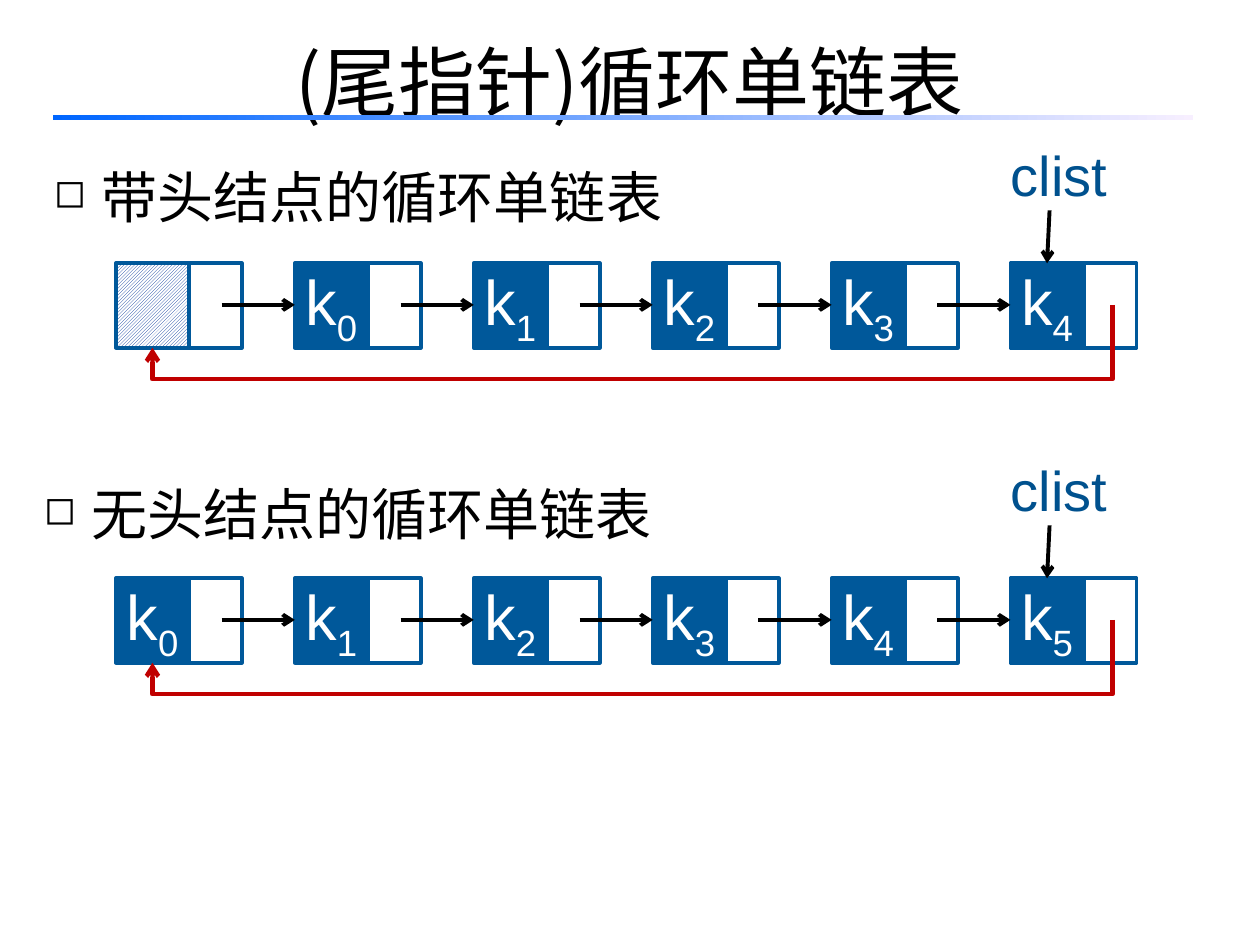
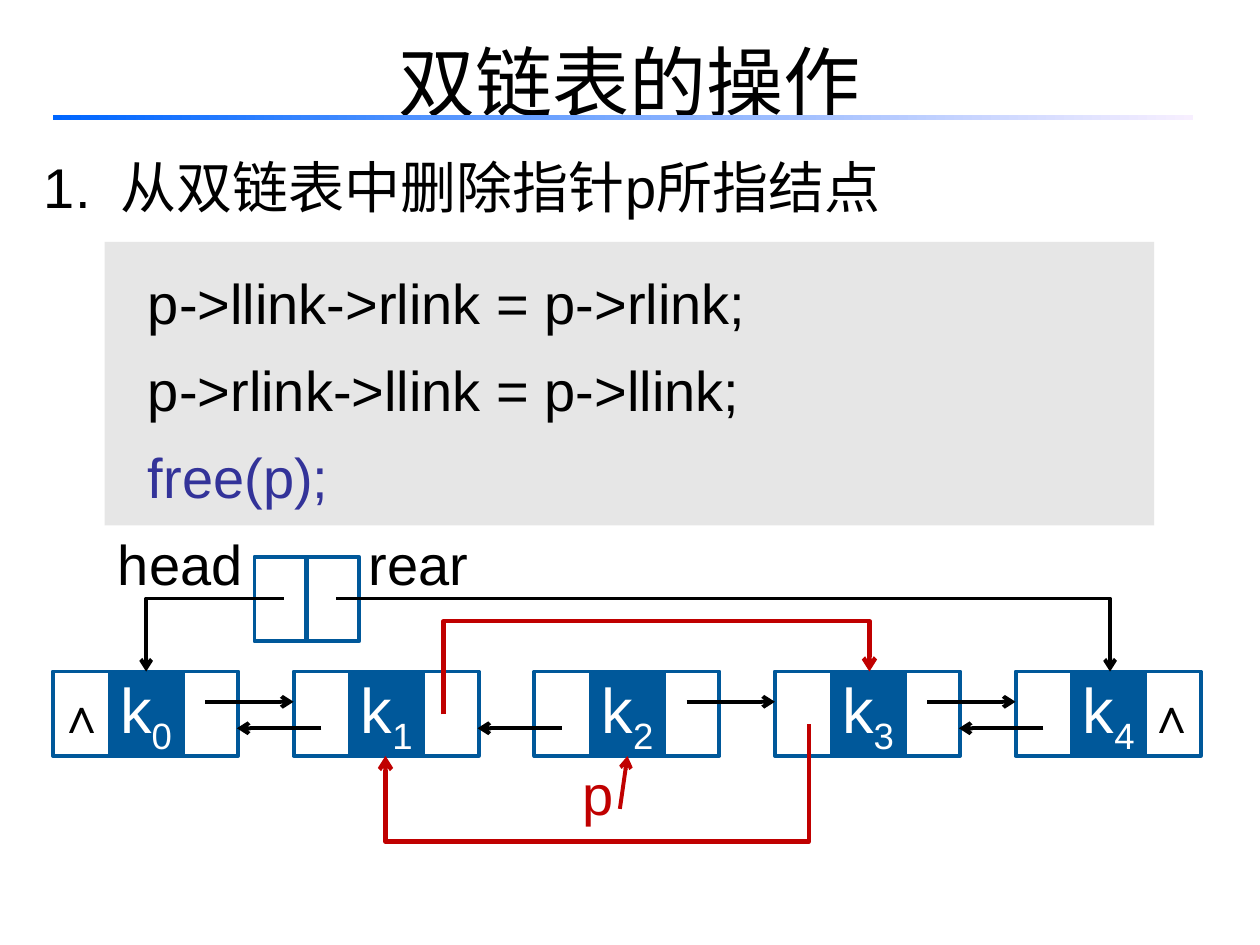
from lxml.etree import SubElement
from pptx import Presentation
from pptx.dml.color import RGBColor
from pptx.enum.dml import MSO_PATTERN_TYPE as PATTERN
from pptx.enum.shapes import MSO_CONNECTOR as CONNECTOR, MSO_SHAPE as SHAPE
from pptx.enum.text import MSO_ANCHOR as ANCHOR, PP_ALIGN as ALIGN
from pptx.oxml.ns import qn
from pptx.util import Pt

PX = 9144  # EMU per px, 100 px to the inch
COLORS = {
    "black": "000000", "white": "FFFFFF", "node": "00589A", "label": "00518E",
    "red": "C00000", "code": "333399", "panel": "E6E6E6", "hatch": "003399",
    "band_start": "0066FF", "band_end": "F7EFFF",
}
COLORS = {name: RGBColor.from_string(value) for name, value in COLORS.items()}
LATIN, CHINESE = "Arial", "Noto Sans CJK SC"
CELL_HEIGHT, KEY_WIDTH, LINK_WIDTH = 67, 58, 52


def add_box(slide, left, top, width, height, text="", subscript="", fill=None,
            line=None, size=32, color="black", font=LATIN, bold=False,
            align=ALIGN.LEFT, anchor=ANCHOR.TOP, wrap=False, spacing=1.0,
            side_margin=10, hanging=0, bullet="", line_colors=None):
    """Add a rectangle, or a text box when it has neither fill nor line."""
    bounds = [value * PX for value in (left, top, width, height)]
    if fill or line:
        shape = slide.shapes.add_shape(SHAPE.RECTANGLE, *bounds)
        shape.shadow.inherit = False
        if fill:
            shape.fill.solid()
            shape.fill.fore_color.rgb = COLORS[fill]
        else:
            shape.fill.background()
        if line:
            shape.line.color.rgb = COLORS[line]
            shape.line.width = Pt(2.25)
        else:
            shape.line.fill.background()
    else:
        shape = slide.shapes.add_textbox(*bounds)
    if not text:
        return shape

    frame = shape.text_frame
    frame.word_wrap = wrap
    frame.vertical_anchor = anchor
    frame.margin_left = frame.margin_right = side_margin * PX
    for index, words in enumerate(text.split("\n")):
        paragraph = frame.add_paragraph() if index else frame.paragraphs[0]
        properties = paragraph._p.get_or_add_pPr()
        if hanging:
            properties.set("marL", str(hanging * PX))
            properties.set("indent", str(-hanging * PX))
        if bullet:
            SubElement(properties, qn("a:buSzPct"), val="70000")
            SubElement(properties, qn("a:buChar"), char=bullet)
        paragraph.alignment = align
        paragraph.line_spacing = spacing
        for part in filter(None, (words, subscript)):
            run = paragraph.add_run()
            run.text = part
            run.font.size = Pt(size)
            run.font.bold = bold
            run.font.name = font
            run.font.color.rgb = COLORS[line_colors[index] if line_colors else color]
            run_properties = run._r.get_or_add_rPr()
            SubElement(run_properties, qn("a:ea"), typeface=CHINESE)
            if part == subscript:
                run_properties.set("baseline", "-25000")
    return shape


def add_arrow(slide, *points, color="black", width=2.25):
    """Draw a straight arrow through two points, a bent one through more."""
    if len(points) == 2:
        ends = [value * PX for point in points for value in point]
        arrow = slide.shapes.add_connector(CONNECTOR.STRAIGHT, *ends)
        SubElement(arrow._element.spPr, qn("a:effectLst"))
    else:
        builder = slide.shapes.build_freeform(*points[0], scale=PX)
        builder.add_line_segments(points[1:], close=False)
        arrow = builder.convert_to_shape()
        arrow.shadow.inherit = False
        arrow.fill.background()
    arrow.line.color.rgb = COLORS[color]
    arrow.line.width = Pt(width)
    SubElement(arrow.line._get_or_add_ln(), qn("a:tailEnd"), type="arrow")


presentation = Presentation()
presentation.slide_width = 1000 * PX
presentation.slide_height = 750 * PX

# Shared formats
key_format = dict(fill="node", line="node", size=36, color="white",
                  align=ALIGN.CENTER, anchor=ANCHOR.MIDDLE)
label_format = dict(align=ALIGN.CENTER, anchor=ANCHOR.MIDDLE, spacing=0.9,
                    side_margin=0)
null_format = dict(line="node", size=28, bold=True, anchor=ANCHOR.MIDDLE)
heading_format = dict(wrap=True, spacing=1.3)

# Title and gradient band on both slides
slides = []
for title in ("(尾指针)循环单链表", "双链表的操作"):
    slide = presentation.slides.add_slide(presentation.slide_layouts[6])
    add_box(slide, 50, -8, 900, 125, title, size=44, font=CHINESE, wrap=True,
            align=ALIGN.CENTER, anchor=ANCHOR.MIDDLE, spacing=1.25)
    band = add_box(slide, 42, 91, 905, 4, fill="band_start")
    band.fill.gradient()
    band.fill.gradient_angle = 0
    for stop, name in zip(band.fill.gradient_stops, ("band_start", "band_end")):
        stop.color.rgb = COLORS[name]
    slides.append(slide)
circular_slide, double_slide = slides

# Circular lists: with a head node, then without one
NODE_STEP = 142
circular_lists = [
    ("带头结点的循环单链表", 33, 108, 209, ["", "0", "1", "2", "3", "4"]),
    ("无头结点的循环单链表", 25, 360, 459, ["0", "1", "2", "3", "4", "5"]),
]
for heading, heading_left, heading_top, top, keys in circular_lists:
    add_box(circular_slide, heading_left, heading_top, 975, 75, heading,
            font=CHINESE, hanging=38, bullet="◻", **heading_format)
    lefts = [92 + NODE_STEP * index for index in range(len(keys))]
    for left, key in zip(lefts, keys):
        add_box(circular_slide, left + 48, top, LINK_WIDTH, CELL_HEIGHT, line="node")
        cell = add_box(circular_slide, left, top, KEY_WIDTH, CELL_HEIGHT,
                       "k" if key else "", key, **key_format)
        if not key:
            cell.fill.patterned()
            cell.fill.pattern = PATTERN.LIGHT_UPWARD_DIAGONAL
            cell.fill.fore_color.rgb = COLORS["hatch"]
            cell.fill.back_color.rgb = COLORS["white"]
    middle, bottom = top + 33, top + CELL_HEIGHT
    for left, next_left in zip(lefts, lefts[1:]):
        add_arrow(circular_slide, (left + 84, middle), (next_left, middle))

    # Tail pointer and the link back to the first node
    add_box(circular_slide, 798, top - 101, 85, 67, "clist", color="label", **label_format)
    add_arrow(circular_slide, (833, top - 42), (831, top))
    add_arrow(circular_slide, (883, middle), (883, bottom + 25),
              (121, bottom + 25), (121, bottom), color="red", width=2.5)

# Deletion heading and code
add_box(double_slide, 25, 100, 975, 75, "1.\t从双链表中删除指针p所指结点",
        hanging=61, **heading_format)
code = "  p->llink->rlink = p->rlink;\n  p->rlink->llink = p->llink;\n  free(p);"
add_box(double_slide, 83, 192, 833, 225, code, fill="panel", wrap=True, hanging=38,
        spacing=1.3, line_colors=["black", "black", "code"])

# Doubly linked nodes: left link, key, right link
DOUBLE_STEP, DOUBLE_TOP = 191, 533
DOUBLE_BOTTOM = DOUBLE_TOP + CELL_HEIGHT
lefts = [42 + DOUBLE_STEP * index for index in range(5)]
for index, left in enumerate(lefts):
    add_box(double_slide, left, DOUBLE_TOP, LINK_WIDTH, CELL_HEIGHT,
            "∧" if index == 0 else "", align=ALIGN.RIGHT, **null_format)
    add_box(double_slide, left + 95, DOUBLE_TOP, LINK_WIDTH, CELL_HEIGHT,
            "∧" if index == 4 else "", **null_format)
    add_box(double_slide, left + 45, DOUBLE_TOP, KEY_WIDTH, CELL_HEIGHT,
            "k", str(index), **key_format)
for index in (0, 2, 3):
    add_arrow(double_slide, (lefts[index] + 121, 557), (lefts[index + 1], 557))
for index in (0, 1, 3):
    add_arrow(double_slide, (lefts[index + 1] + 22, 578), (lefts[index] + 146, 578))

# Head and rear pointers
for left in (202, 243):
    add_box(double_slide, left, 442, 42, CELL_HEIGHT, line="node")
add_arrow(double_slide, (225, 475), (116, 475), (116, DOUBLE_TOP))
add_arrow(double_slide, (267, 475), (881, 475), (881, DOUBLE_TOP))
add_box(double_slide, 92, 417, 102, 67, "head", **label_format)
add_box(double_slide, 277, 417, 110, 67, "rear", **label_format)

# Deleted node and the links that bypass it
add_box(double_slide, 432, 599, 85, 67, "p", color="red", **label_format)
add_arrow(double_slide, (492, 642), (498, DOUBLE_BOTTOM), color="red")
add_arrow(double_slide, (352, 567), (352, 493), (690, 493), (690, DOUBLE_TOP),
          color="red", width=2.5)
add_arrow(double_slide, (642, 575), (642, 668), (306, 668), (306, DOUBLE_BOTTOM),
          color="red", width=2.5)

presentation.save("out.pptx")
